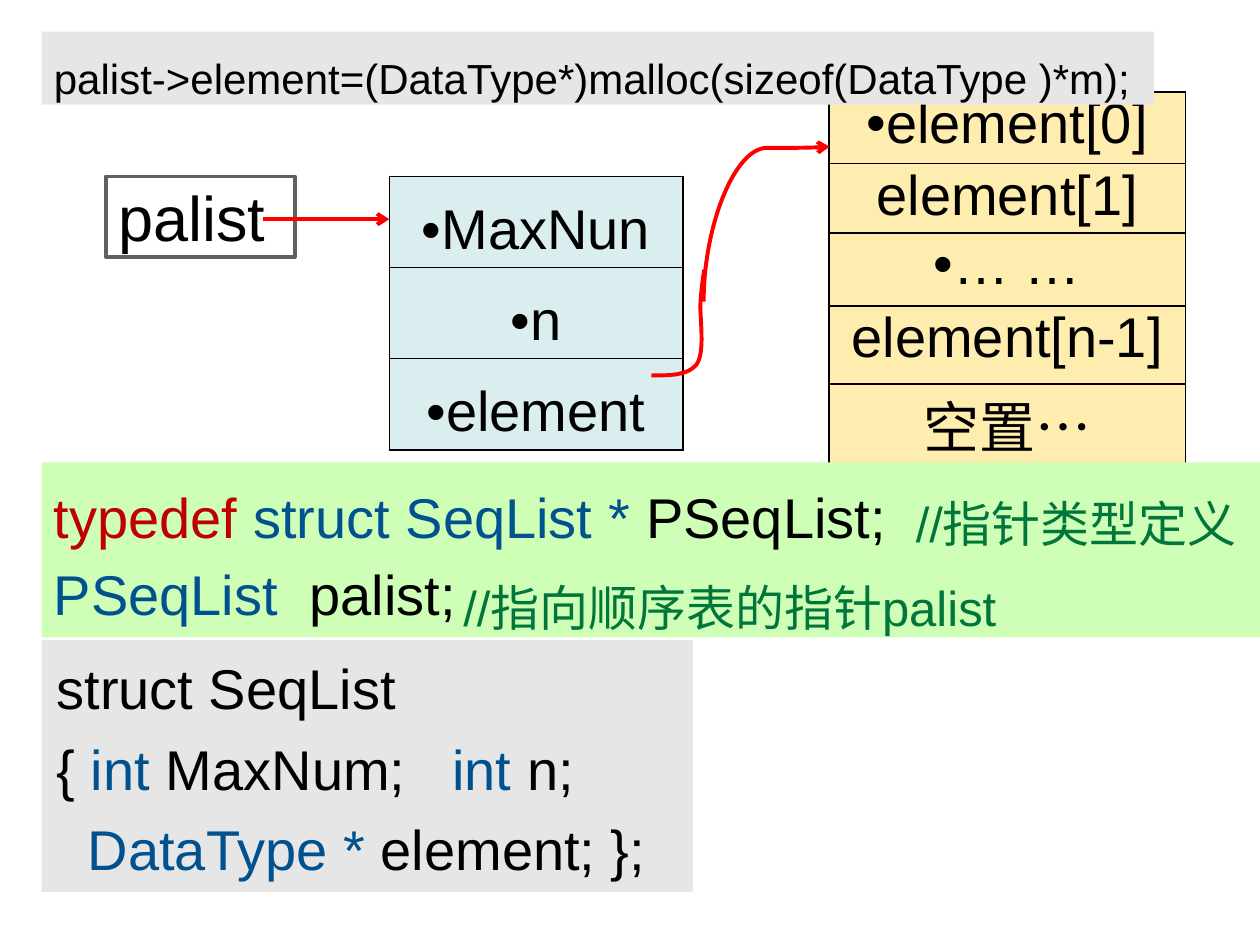
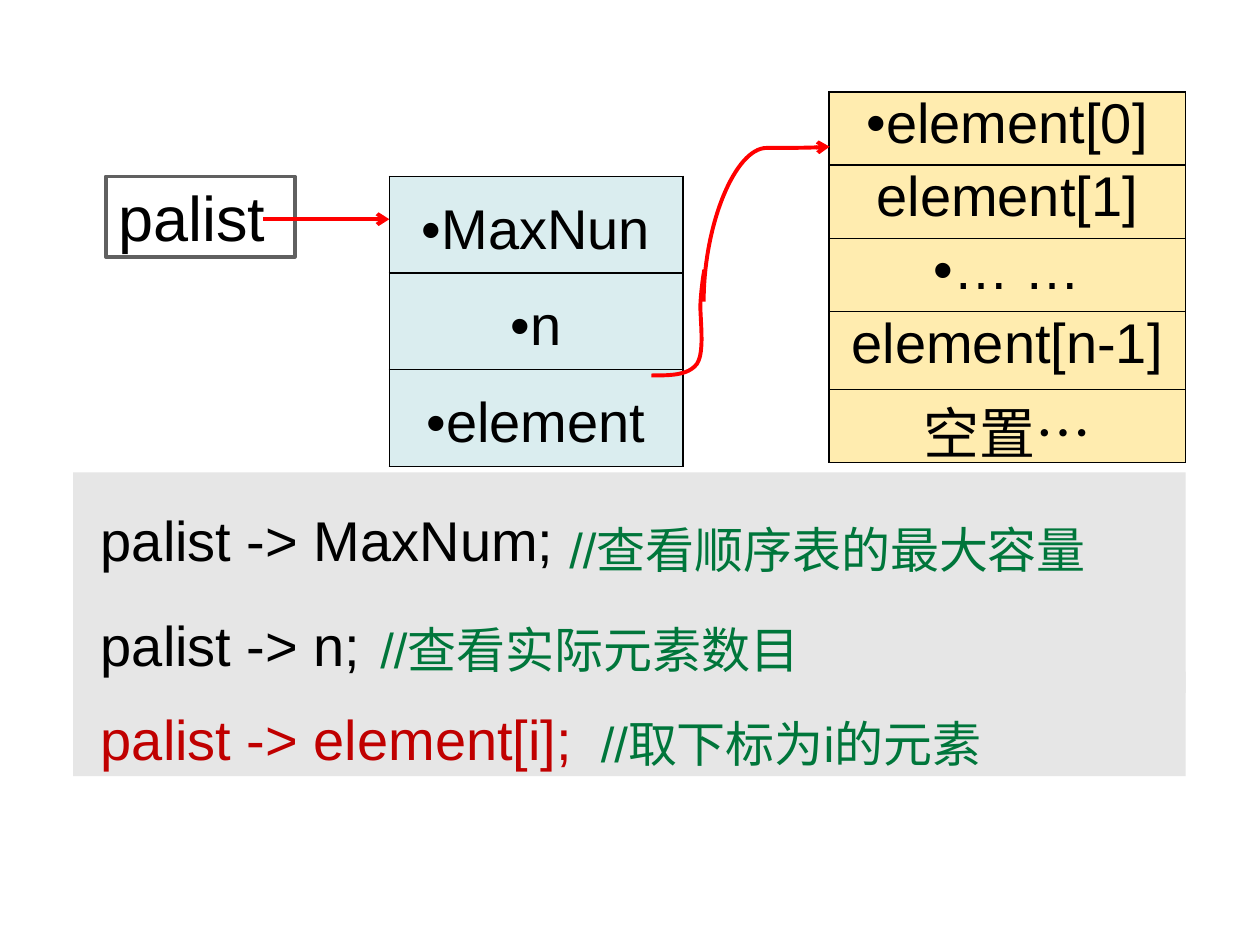
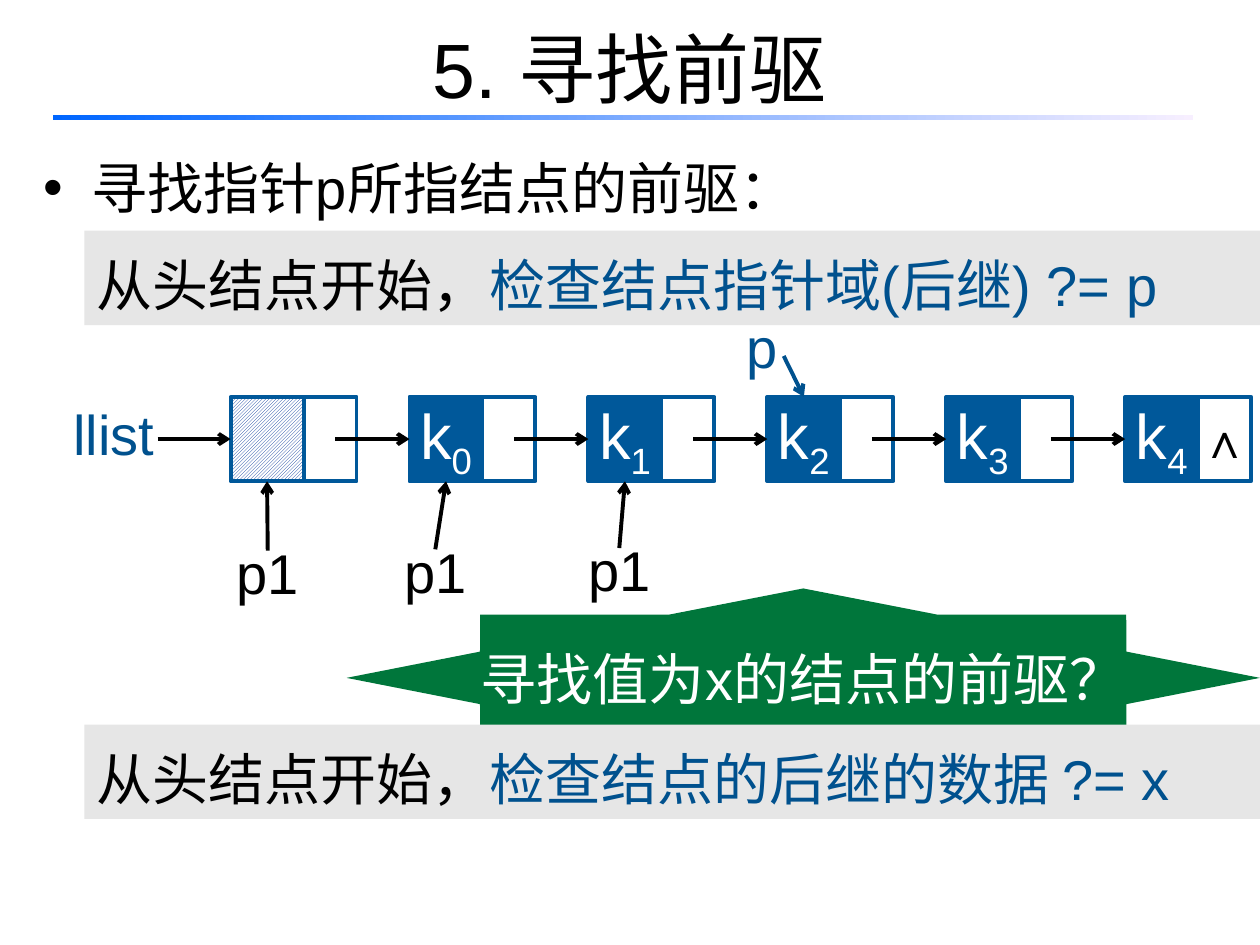
import dataclasses

import lxml.etree
import pptx
import pptx.dml.color
import pptx.enum.dml
import pptx.enum.shapes
import pptx.enum.text
import pptx.oxml.ns
import pptx.util

Inches = pptx.util.Inches
Pt = pptx.util.Pt
SHAPES = pptx.enum.shapes.MSO_SHAPE
CONNECTORS = pptx.enum.shapes.MSO_CONNECTOR
ANCHOR = pptx.enum.text.MSO_ANCHOR
ALIGN = pptx.enum.text.PP_ALIGN
TOP, LEFT, BOTTOM, RIGHT = range(4)


@dataclasses.dataclass(frozen=True)
class Theme:
    font: str = "Arial"
    black: str = "000000"
    white: str = "FFFFFF"
    grey: str = "E6E6E6"
    frame: str = "606060"
    blue: str = "00518E"
    node: str = "00589A"
    hatch: str = "003399"
    green: str = "00763B"
    light_green: str = "CFFFB7"
    crimson: str = "C00000"
    red: str = "FF0000"
    cyan: str = "DAEDEF"
    yellow: str = "FFECAF"
    rule_start: str = "0066FF"
    rule_end: str = "F7EFFF"
    title: int = 44
    symbol: int = 36
    body: int = 32
    comment: int = 28
    code: int = 24
    stroke: float = 2.25


THEME = Theme()
BLACK, BLUE = THEME.black, THEME.blue
INDENTED = (0.22, 0.05, 0.1, 0.05)

# Bands: box, fill, paragraphs of (text, colour) runs, options
DEFINITION_BANDS = [
    ((0.33, 4.39, 9.67, 0.67), THEME.light_green,
     [[("PSeqList  ", BLUE), ("palist;", BLACK)]], {}),
    ((0.33, 3.67, 9.67, 0.73), THEME.light_green,
     [[("typedef ", THEME.crimson), ("struct SeqList * ", BLUE), ("PSeqList;", BLACK)]],
     {"spacing": 1.2}),
    ((0.33, 5.08, 5.17, 2), THEME.grey,
     [[("struct SeqList", BLACK)],
      [("{ ", BLACK), ("int ", BLUE), ("MaxNum;   ", BLACK), ("int ", BLUE), ("n;", BLACK)],
      [("  ", BLACK), ("DataType * ", BLUE), ("element; };", BLACK)]],
     {"spacing": 1.2, "inset": (0.12, 0, 0, 0)}),
    ((0.33, 0.25, 8.83, 0.58), THEME.grey,
     [[("palist->element=(DataType*)malloc(sizeof(DataType )*m);", BLACK)]],
     {"spacing": 1.3, "size": THEME.code}),
]
DEFINITION_COMMENTS = [
    ((7.17, 3.75, 3.33, 0.63), "//指针类型定义"),
    ((3.58, 4.42, 6.67, 0.63), "//指向顺序表的指针palist"),
]

ACCESS_BANDS = [
    ((0.58, top, 8.83, height), THEME.grey, [[(code, colour)]],
     {"spacing": 1.4, "inset": INDENTED})
    for top, height, code, colour in [
        (5.33, 0.83, "palist -> element[i];", THEME.crimson),
        (4.58, 0.92, "palist -> n;", BLACK),
        (3.75, 0.83, "palist -> MaxNum;", BLACK),
    ]
]
ACCESS_COMMENTS = [
    ((4.42, 3.96, 5.08, 0.63), "//查看顺序表的最大容量"),
    ((2.92, 4.75, 6.58, 0.63), "//查看实际元素数目"),
    ((4.67, 5.5, 4.92, 0.63), "//取下标为i的元素"),
]

# Table rows: text, bulleted, height
STRUCT_ROWS = [("MaxNun", True, 0.64), ("n", True, 0.64), ("element", True, 0.64)]
ELEMENT_ROWS = [("element[0]", True, 0.57), ("element[1]", False, 0.47),
                ("… …", True, 0.58), ("element[n-1]", False, 0.62),
                ("空置…", False, 0.56)]
FIELD_CURVES = [
    ((5.17, 2.98), (5.32, 2.98), (5.46, 2.98), (5.53, 2.89)),
    ((5.53, 2.89), (5.6, 2.79), (5.55, 2.51), (5.56, 2.39)),
    ((5.56, 2.39), (5.57, 2.26), (5.58, 2.2), (5.59, 2.14)),
]

TITLE = "5. 寻找前驱"
BULLET = "寻找指针p所指结点的前驱："
SEARCH_BANDS = [
    ((0.67, top, 9.33, 0.75), THEME.grey,
     [[("从头结点开始，", BLACK), (check, BLUE)]], {"spacing": 1.2})
    for top, check in [(1.83, "检查结点指针域(后继) ?= p"),
                       (5.75, "检查结点的后继的数据 ?= x")]
]
QUESTION = "寻找值为x的结点的前驱？"
NODES = ["", "0", "1", "2", "3", "4"]
NODE_LEFT, NODE_TOP, NODE_PITCH = 1.83, 3.15, 1.42
DATA_WIDTH, POINTER_WIDTH, NODE_HEIGHT = 0.58, 0.52, 0.67
POINTER_OFFSET, LINK_OFFSET = 0.48, 0.83
VISITORS = [(1.75, 4.37), (3.08, 4.36), (4.54, 4.35)]


def rgb(colour):
    return pptx.dml.color.RGBColor.from_string(colour)


def inches(values):
    return [Inches(value) for value in values]


def add_child(parent, tag, **attributes):
    child = lxml.etree.SubElement(parent, pptx.oxml.ns.qn(tag))
    for name, value in attributes.items():
        child.set(name, str(value))
    return child


def add_bullet(paragraph, hanging=0):
    properties = paragraph._p.get_or_add_pPr()
    properties.set("marL", str(Inches(hanging)))
    properties.set("indent", str(-Inches(hanging)))
    add_child(properties, "a:buFont", typeface=THEME.font)
    add_child(properties, "a:buChar", char="•")


def write(text_frame, paragraphs, size=THEME.body, spacing=1.0, align=ALIGN.LEFT,
          anchor=ANCHOR.TOP, wrap=True, inset=None, bold=False):
    """Fill a text frame with paragraphs, each a list of (text, colour) runs."""
    text_frame.word_wrap = wrap
    text_frame.vertical_anchor = anchor
    if inset:
        (text_frame.margin_left, text_frame.margin_top,
         text_frame.margin_right, text_frame.margin_bottom) = inches(inset)
    for index, runs in enumerate(paragraphs):
        paragraph = text_frame.add_paragraph() if index else text_frame.paragraphs[0]
        paragraph.alignment = align
        paragraph.line_spacing = spacing
        for text, colour in runs:
            run = paragraph.add_run()
            run.text = text
            run.font.name = THEME.font
            run.font.size = Pt(size)
            run.font.bold = bold
            run.font.color.rgb = rgb(colour)


def add_box(slide, box, fill=None, line=None, line_width=THEME.stroke,
            kind=SHAPES.RECTANGLE):
    shape = slide.shapes.add_shape(kind, *inches(box))
    shape.shadow.inherit = False
    if fill:
        shape.fill.solid()
        shape.fill.fore_color.rgb = rgb(fill)
    else:
        shape.fill.background()
    if line:
        shape.line.color.rgb = rgb(line)
        shape.line.width = Pt(line_width)
    else:
        shape.line.fill.background()
    return shape


def add_label(slide, box, text, colour=BLACK, **options):
    label = slide.shapes.add_textbox(*inches(box))
    write(label.text_frame, [[(text, colour)]], **options)
    return label


def add_band(slide, box, fill, paragraphs, options):
    write(add_box(slide, box, fill).text_frame, paragraphs, **options)


def add_comments(slide, comments):
    for box, text in comments:
        add_label(slide, box, text, THEME.green, size=THEME.comment, spacing=1.25)


def add_arrow(slide, begin, end, colour=BLACK, kind=CONNECTORS.STRAIGHT):
    """Draw an arrow; each end is a point or a (shape, site) pair to join."""
    joined = [isinstance(tip[0], pptx.shapes.base.BaseShape) for tip in (begin, end)]
    points = [(0, 0) if join else tip for join, tip in zip(joined, (begin, end))]
    arrow = slide.shapes.add_connector(kind, *inches(points[0]), *inches(points[1]))
    if joined[0]:
        arrow.begin_connect(*begin)
    if joined[1]:
        arrow.end_connect(*end)
    arrow.line.color.rgb = rgb(colour)
    arrow.line.width = Pt(THEME.stroke)
    add_child(arrow.line._get_or_add_ln(), "a:tailEnd", type="arrow")
    add_child(arrow._element.spPr, "a:effectLst")
    return arrow


def add_column_table(slide, left, top, width, rows, fill, spacing):
    height = sum(row_height for _, _, row_height in rows)
    frame = slide.shapes.add_table(len(rows), 1, *inches((left, top, width, height)))
    table = frame.table
    table.first_row = table.horz_banding = False
    for index, (text, bulleted, row_height) in enumerate(rows):
        table.rows[index].height = Inches(row_height)
        cell = table.cell(index, 0)
        write(cell.text_frame, [[(text, BLACK)]], spacing=spacing, align=ALIGN.CENTER)
        if bulleted:
            add_bullet(cell.text_frame.paragraphs[0])
        properties = cell._tc.get_or_add_tcPr()
        for side in ("a:lnL", "a:lnR", "a:lnT", "a:lnB"):
            border = add_child(properties, side, w=Pt(1))
            add_child(add_child(border, "a:solidFill"), "a:srgbClr", val=BLACK)
        cell.fill.solid()
        cell.fill.fore_color.rgb = rgb(fill)


def curve_points(curves, steps=12):
    """Sample joined cubic curves, leaving out the very first point."""
    for p0, p1, p2, p3 in curves:
        for step in range(1, steps + 1):
            t = step / steps
            u = 1 - t
            yield tuple(
                Inches(u**3 * a + 3 * u * u * t * b + 3 * u * t * t * c + t**3 * d)
                for a, b, c, d in zip(p0, p1, p2, p3))


def add_list_diagram(slide):
    pointer = add_box(slide, (0.84, 1.4, 1.5, 0.64), THEME.white, THEME.frame, 2)
    write(pointer.text_frame, [[("palist", BLACK)]], size=THEME.symbol,
          anchor=ANCHOR.MIDDLE, wrap=False)
    add_column_table(slide, 3.09, 1.4, 2.33, STRUCT_ROWS, THEME.cyan, 1.25)
    add_column_table(slide, 6.58, 0.73, 2.83, ELEMENT_ROWS, THEME.yellow, 0.9)
    add_arrow(slide, (2.09, 1.74), (3.09, 1.74), THEME.red)

    curve = add_arrow(slide, (6.7, 2.28), (5.47, 1.28), THEME.red, CONNECTORS.CURVE)
    properties = curve._element.spPr
    properties.find(pptx.oxml.ns.qn("a:xfrm")).set("rot", str(90 * 60000))
    geometry = properties.find(pptx.oxml.ns.qn("a:prstGeom"))
    for guides in list(geometry):
        geometry.remove(guides)
    add_child(add_child(geometry, "a:avLst"), "a:gd", name="adj1", fmla="val 99200")

    builder = slide.shapes.build_freeform(*inches(FIELD_CURVES[0][0]))
    builder.add_line_segments(list(curve_points(FIELD_CURVES)), close=False)
    field_line = builder.convert_to_shape()
    field_line.shadow.inherit = False
    field_line.fill.background()
    field_line.line.color.rgb = rgb(THEME.red)
    field_line.line.width = Pt(THEME.stroke)


def add_node(slide, index, subscript):
    """Draw one list node and return its data cell."""
    left = NODE_LEFT + index * NODE_PITCH
    pointer = add_box(slide, (left + POINTER_OFFSET, NODE_TOP, POINTER_WIDTH, NODE_HEIGHT),
                      line=THEME.node)
    data = add_box(slide, (left, NODE_TOP, DATA_WIDTH, NODE_HEIGHT), THEME.node, THEME.node)
    centred = {"align": ALIGN.CENTER, "anchor": ANCHOR.MIDDLE, "wrap": False}
    if subscript:
        write(data.text_frame, [[("k", THEME.white), (subscript, THEME.white)]],
              size=THEME.symbol, **centred)
        data.text_frame.paragraphs[0].runs[1]._r.get_or_add_rPr().set("baseline", "-25000")
    else:
        data.fill.patterned()
        data.fill.pattern = pptx.enum.dml.MSO_PATTERN.LIGHT_UPWARD_DIAGONAL
        data.fill.fore_color.rgb = rgb(THEME.hatch)
        data.fill.back_color.rgb = rgb(THEME.white)
    if index == len(NODES) - 1:
        write(pointer.text_frame, [[("∧", BLACK)]], size=THEME.comment, bold=True,
              inset=(0.2, 0.05, 0.1, 0.05), **centred)
    return data


def add_linked_list(slide):
    cells = [add_node(slide, index, subscript) for index, subscript in enumerate(NODES)]
    middle = NODE_TOP + NODE_HEIGHT / 2
    add_label(slide, (0.48, 3.14, 0.85, 0.67), "llist", BLUE, spacing=0.9,
              align=ALIGN.CENTER, anchor=ANCHOR.MIDDLE, wrap=False)
    starts = [1.25] + [NODE_LEFT + index * NODE_PITCH + LINK_OFFSET
                       for index in range(len(cells) - 1)]
    for start, cell in zip(starts, cells):
        add_arrow(slide, (start, middle), (cell, LEFT))

    tight = {"spacing": 0.7, "align": ALIGN.CENTER}
    target = add_label(slide, (5.83, 2.58, 0.39, 0.49), "p", BLUE, **tight)
    add_arrow(slide, (target, RIGHT), (cells[3], TOP), BLUE)
    for (left, top), cell in zip(VISITORS, cells):
        visitor = add_label(slide, (left, top, 0.75, 0.48), "p1", **tight)
        add_arrow(slide, (visitor, TOP), (cell, BOTTOM))


def add_heading(slide):
    add_label(slide, (0.5, 0, 9, 1.08), TITLE, size=THEME.title,
              align=ALIGN.CENTER, anchor=ANCHOR.MIDDLE)
    rule = add_box(slide, (0.42, 0.91, 9.05, 0.04))
    rule.fill.gradient()
    rule.fill.gradient_angle = 0
    for stop, colour in zip(rule.fill.gradient_stops, (THEME.rule_start, THEME.rule_end)):
        stop.color.rgb = rgb(colour)


def build_definition(slide):
    add_list_diagram(slide)
    for band in DEFINITION_BANDS:
        add_band(slide, *band)
    add_comments(slide, DEFINITION_COMMENTS)


def build_access(slide):
    for band in ACCESS_BANDS:
        add_band(slide, *band)
    add_comments(slide, ACCESS_COMMENTS)
    add_list_diagram(slide)


def build_predecessor(slide):
    add_heading(slide)
    body = add_label(slide, (0.25, 1.17, 9.5, 0.67), BULLET)
    add_bullet(body.text_frame.paragraphs[0], hanging=0.38)
    add_linked_list(slide)
    star = add_box(slide, (2.75, 4.67, 7.25, 1.42), THEME.green, kind=SHAPES.STAR_8_POINT)
    star.adjustments[0] = 0.383
    write(star.text_frame, [[(QUESTION, THEME.white)]], align=ALIGN.CENTER,
          anchor=ANCHOR.MIDDLE, wrap=False)
    for band in SEARCH_BANDS:
        add_band(slide, *band)


def main():
    presentation = pptx.Presentation()
    presentation.slide_width, presentation.slide_height = inches((10, 7.5))
    blank = presentation.slide_layouts[6]
    for build in (build_definition, build_access, build_predecessor):
        build(presentation.slides.add_slide(blank))
    presentation.save("out.pptx")


if __name__ == "__main__":
    main()
